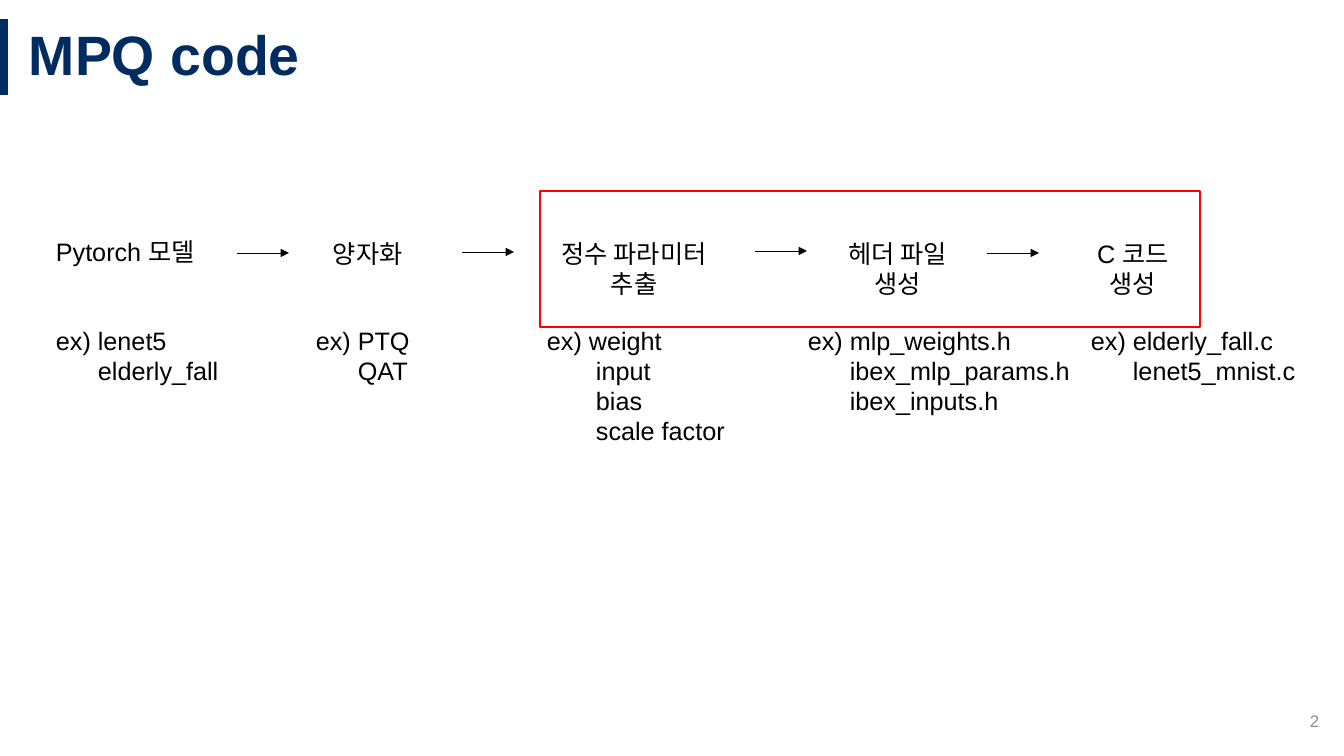
from lxml import etree
from pptx import Presentation
from pptx.dml.color import RGBColor
from pptx.enum.shapes import MSO_CONNECTOR, MSO_SHAPE
from pptx.enum.text import MSO_ANCHOR, PP_ALIGN
from pptx.oxml.ns import qn

PX = 9525 * 20 // 21  # EMU per px, at 100.8 px to the inch
PT = 12700
LEFT, MID, RIGHT = PP_ALIGN.LEFT, PP_ALIGN.CENTER, PP_ALIGN.RIGHT
TOP, MIDDLE = MSO_ANCHOR.TOP, MSO_ANCHOR.MIDDLE
STRAIGHT = MSO_CONNECTOR.STRAIGHT
RECT = MSO_SHAPE.RECTANGLE
INK = {"navy": "002C62", "gray": "8C8C8C", "black": "000000", "red": "FF0000"}

deck = Presentation()
deck.slide_width, deck.slide_height = 1344 * PX, 756 * PX
slide = deck.slides.add_slide(deck.slide_layouts[6])


def text(box, lines, size=18, ink="black", align=LEFT, anchor=TOP, indent=0):
    """Add a text box; lines after the first are indented."""
    frame = slide.shapes.add_textbox(*[n * PX for n in box]).text_frame
    frame.word_wrap = True
    frame.vertical_anchor = anchor
    for i, line in enumerate(lines):
        para = frame.add_paragraph() if i else frame.paragraphs[0]
        para.text = line
        para.alignment = align
        if i and indent:
            para._p.get_or_add_pPr().set("marL", str(indent * PX))
        para.font.name = "Arial"
        para.font.size = int(size * PT)
        para.font.color.rgb = RGBColor.from_string(INK[ink])
    return frame


def rule(x1, y1, x2, y2, ink, width):
    """Add a straight line without a shadow."""
    line = slide.shapes.add_connector(STRAIGHT, x1 * PX, y1 * PX, x2 * PX, y2 * PX)
    line.line.color.rgb = RGBColor.from_string(INK[ink])
    line.line.width = int(width * PT)
    etree.SubElement(line._element.spPr, qn("a:effectLst"))
    return line


# Title and page number
rule(4, 19, 4, 95, "navy", 6)
title = text((19, 19, 1325, 76), ["MPQ code"], 39.6, "navy", anchor=MIDDLE)
title.paragraphs[0].font.bold = True
title.paragraphs[0].line_spacing = 0.9
text((1027, 701, 302, 40), ["2"], 12, "gray", RIGHT, MIDDLE)

# Steps: left, top, width, height, align, label
steps = [
    (46, 231, 169, 40, LEFT, "Pytorch 모델"),
    (323, 233, 111, 40, LEFT, "양자화"),
    (540, 233, 188, 72, MID, "정수 파라미터 추출"),
    (831, 233, 134, 72, MID, "헤더 파일 생성"),
    (1066, 233, 134, 72, MID, "C 코드 생성"),
]
for *box, align, label in steps:
    text(box, [label], align=align)

# Arrows between steps
for x, y in [(237, 253), (462, 252), (755, 251), (987, 253)]:
    arrow = rule(x, y, x + 52, y, "black", 0.5)
    etree.SubElement(arrow.line._get_or_add_ln(), qn("a:tailEnd"), type="triangle")

# Examples: left, width, height, indent, lines
cases = [
    (46, 260, 72, 42, ["ex) lenet5", "elderly_fall"]),
    (306, 144, 72, 42, ["ex) PTQ", "QAT"]),
    (537, 241, 194, 49, ["ex) weight", "input", "bias", "scale factor"]),
    (798, 291, 102, 42, ["ex) mlp_weights.h", "ibex_mlp_params.h", "ibex_inputs.h"]),
    (1081, 241, 72, 42, ["ex) elderly_fall.c", "lenet5_mnist.c"]),
]
for x, width, height, indent, lines in cases:
    text((x, 320, width, height), lines, indent=indent)

# Red frame around the last three steps
frame = slide.shapes.add_shape(RECT, 540 * PX, 191 * PX, 660 * PX, 136 * PX)
frame.shadow.inherit = False
frame.fill.background()
frame.line.color.rgb = RGBColor.from_string(INK["red"])
frame.line.width = PT

deck.save("out.pptx")
